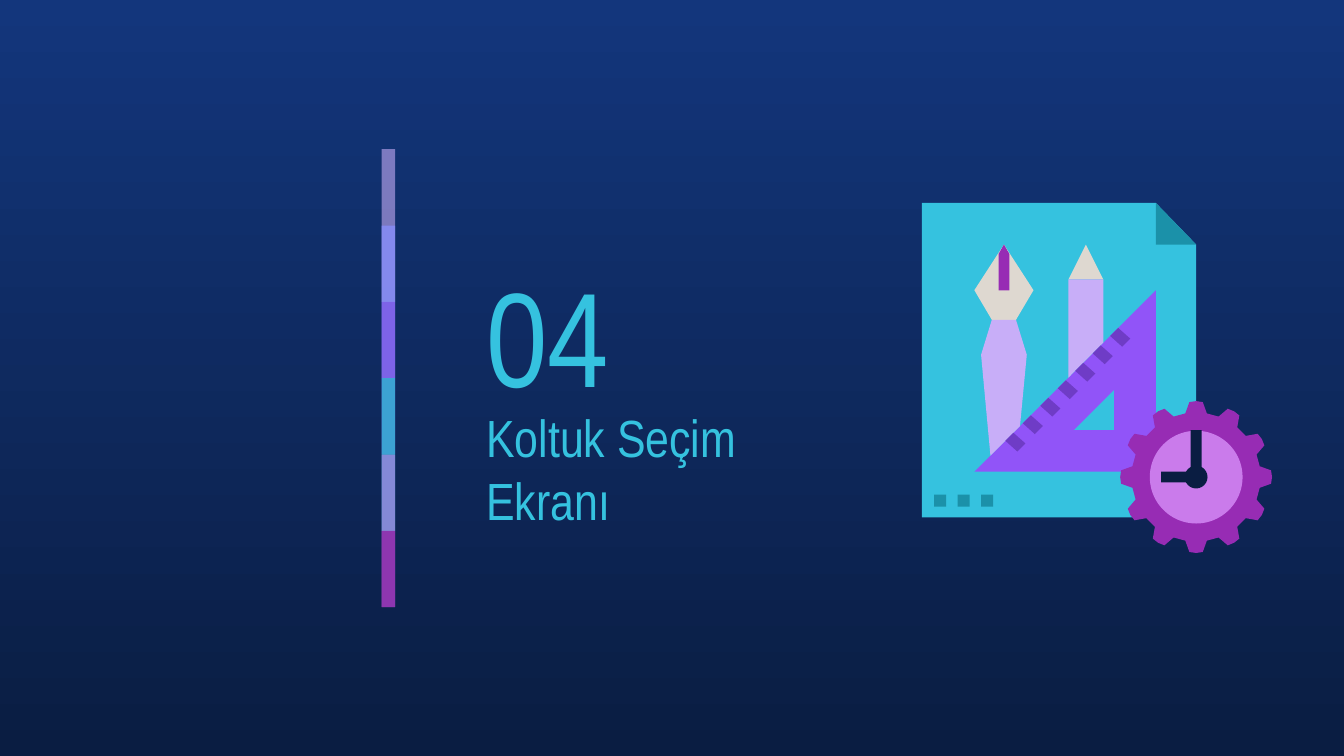
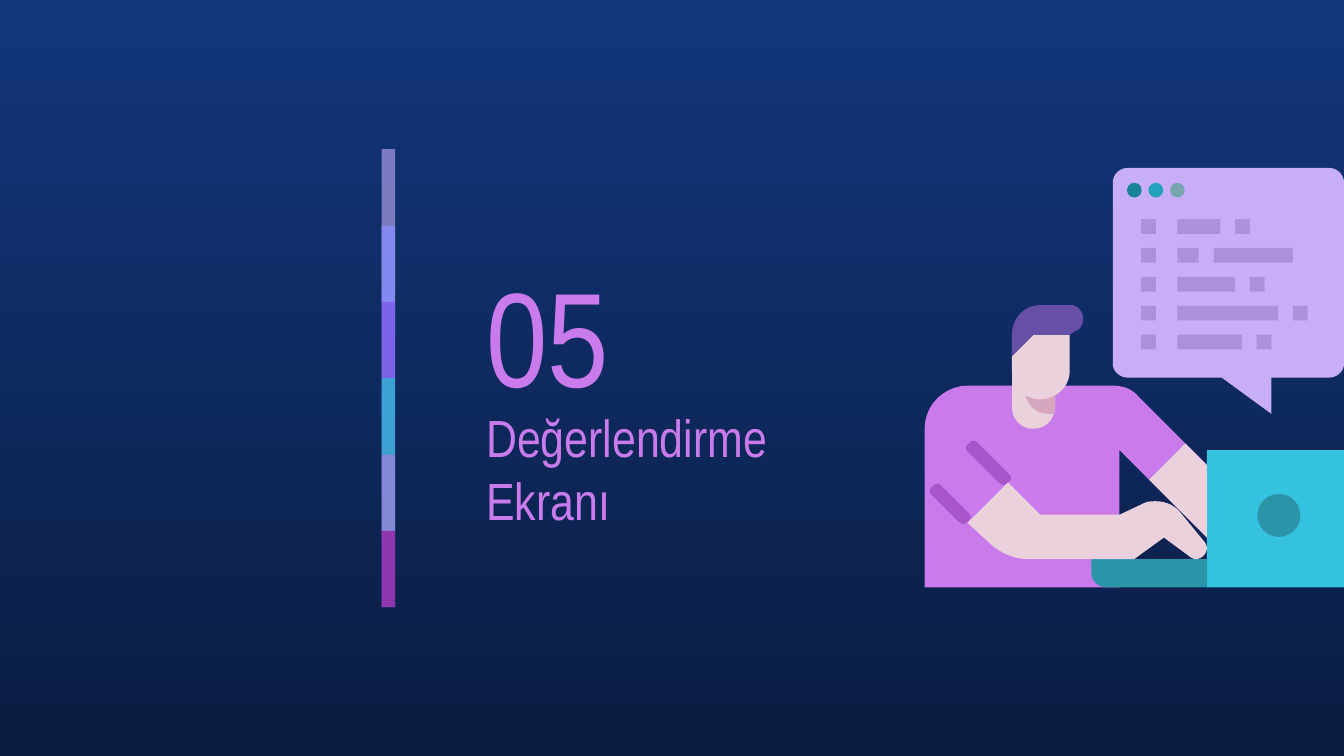
from dataclasses import dataclass
from math import cos, radians, sin

from lxml import etree
from pptx import Presentation
from pptx import util as u
from pptx.dml.color import RGBColor
from pptx.enum import shapes, text
from pptx.oxml.ns import qn

RECT = shapes.MSO_SHAPE.RECTANGLE
OVAL = shapes.MSO_SHAPE.OVAL


@dataclass(frozen=True)
class Theme:
    font: str = "Arial Narrow"
    number_size: int = 72
    title_size: int = 28
    sky: str = "13367C"
    night: str = "0A1D42"
    cyan: str = "35C2DF"
    teal: str = "1B91A9"
    laptop_base: str = "2B94A9"
    lilac: str = "C8AEF8"
    code: str = "AB90DE"
    periwinkle: str = "878FFF"
    violet: str = "9154F8"
    tick: str = "6F3CC6"
    orchid: str = "CA7BEB"
    fold: str = "A855CB"
    magenta: str = "972CB4"
    sand: str = "DED8D0"
    skin: str = "EAD1DC"
    neck_shade: str = "D5A6BD"
    hair: str = "674EA7"
    window_buttons: tuple = ("198298", "22A2BC", "76A5AF")


def length(inches):
    return u.Cm(inches * 2.54)


def flatten(outline, steps=10):
    """Turn (x, y) corners and (x1, y1, x2, y2, x, y) Bezier curves into points."""
    points = []
    for part in outline:
        if len(part) == 2:
            points.append(part)
            continue
        knots = [points[-1], part[:2], part[2:4], part[4:]]
        for step in range(1, steps + 1):
            t = step / steps
            weights = ((1 - t) ** 3, 3 * t * (1 - t) ** 2, 3 * t * t * (1 - t), t ** 3)
            points.append(tuple(sum(w * knot[axis] for w, knot in zip(weights, knots))
                                for axis in (0, 1)))
    return [(length(x), length(y)) for x, y in points]


class Painter:
    """Holds the theme and the current slide; all measures are in inches."""

    def __init__(self, deck, theme):
        self.deck, self.theme, self.page = deck, theme, None

    def new_page(self):
        self.page = self.deck.slides.add_slide(self.deck.slide_layouts[6])
        fill = self.page.background.fill
        fill.gradient()
        fill.gradient_angle = 270
        for stop, color in zip(fill.gradient_stops, (self.theme.sky, self.theme.night)):
            stop.color.rgb = RGBColor.from_string(color)

    def paint(self, shape, color, opacity=100):
        shape.shadow.inherit = False
        shape.line.fill.background()
        shape.fill.solid()
        shape.fill.fore_color.rgb = RGBColor.from_string(color)
        if opacity < 100:
            tint = shape.fill._xPr.find(".//" + qn("a:srgbClr"))
            etree.SubElement(tint, qn("a:alpha")).set("val", str(opacity * 1000))

    def box(self, left, top, width, height, color, opacity=100, kind=RECT):
        shape = self.page.shapes.add_shape(
            kind, length(left), length(top), length(width), length(height))
        self.paint(shape, color, opacity)

    def circle(self, x, y, radius, color):
        self.box(x - radius, y - radius, 2 * radius, 2 * radius, color, kind=OVAL)

    def outline(self, color, *contours):
        builder = None
        for contour in contours:
            start, *rest = flatten(contour)
            if builder is None:
                builder = self.page.shapes.build_freeform(*start, scale=1.0)
            else:
                builder.move_to(*start)
            builder.add_line_segments(rest, close=True)
        self.paint(builder.convert_to_shape(), color)

    def words(self, content, left, top, width, height, size, color):
        box = self.page.shapes.add_textbox(
            length(left), length(top), length(width), length(height))
        frame = box.text_frame
        frame.word_wrap = True
        frame.vertical_anchor = text.MSO_ANCHOR.MIDDLE
        frame.margin_left = frame.margin_right = length(0.1)
        frame.margin_top = frame.margin_bottom = length(0.1)
        span = frame.paragraphs[0].add_run()
        span.text = content
        span.font.name = self.theme.font
        span.font.size = u.Pt(size)
        span.font.color.rgb = RGBColor.from_string(color)

    def section(self, number, title, color):
        """Start a section slide: background, colour stripe, number and title."""
        theme = self.theme
        self.new_page()
        stripe = ((theme.lilac, 59), (theme.periwinkle, 74), (theme.violet, 53),
                  (theme.cyan, 76), (theme.orchid, 56), (theme.magenta, 74))
        pitch = 0.568
        for index, (tone, opacity) in enumerate(stripe):
            spans = min(2, len(stripe) - index)
            self.box(2.84, 1.11 + index * pitch, 0.1, spans * pitch, tone, opacity)
        self.words(number, 3.52, 1.81, 1.75, 1.35, theme.number_size, color)
        self.words(title, 3.52, 3.15, 2.87, 0.67, theme.title_size, color)


def gear_outline(x, y, teeth=12):
    corners = ((0.48, -9.6), (0.56, -5.1), (0.565, 0), (0.56, 5.1), (0.48, 9.6))
    return [(x + radius * sin(radians(tooth * 360 / teeth + turn)),
             y - radius * cos(radians(tooth * 360 / teeth + turn)))
            for tooth in range(teeth) for radius, turn in corners]


def draw_design_sheet(painter):
    theme = painter.theme
    painter.outline(theme.cyan, [(6.86, 1.51), (6.86, 3.85), (8.9, 3.85), (8.9, 1.82), (8.6, 1.51)])
    painter.outline(theme.teal, [(8.6, 1.51), (8.6, 1.82), (8.9, 1.82)])
    set_square = ([(8.29, 2.9), (8.29, 3.2), (7.99, 3.2)],
                  [(8.6, 2.16), (7.25, 3.51), (8.6, 3.51)])
    painter.outline(theme.violet, *set_square)
    gear_x, gear_y = 8.9, 3.55
    painter.outline(theme.magenta, gear_outline(gear_x, gear_y))

    # Pencil and pen
    painter.outline(theme.sand, [(8.08, 1.82), (7.95, 2.08), (8.21, 2.08)])
    painter.outline(theme.lilac, [(7.95, 2.08), (7.95, 2.81), (8.21, 2.55), (8.21, 2.08)])
    painter.outline(theme.sand, [(7.47, 1.82), (7.25, 2.16), (7.38, 2.38),
                                 (7.56, 2.38), (7.69, 2.16)])
    painter.outline(theme.lilac, [(7.38, 2.38), (7.3, 2.64), (7.37, 3.39),
                                  (7.59, 3.17), (7.64, 2.64), (7.56, 2.38)])

    # Clock on the gear
    painter.circle(gear_x, gear_y, 0.345, theme.orchid)
    painter.outline(theme.night, [(8.86, 3.2), (8.86, 3.51), (8.64, 3.51),
                                  (8.64, 3.59), (8.94, 3.59), (8.94, 3.2)])
    painter.circle(gear_x, gear_y, 0.085, theme.night)

    painter.outline(theme.magenta, [(7.47, 1.82), (7.43, 1.89), (7.43, 2.16),
                                    (7.51, 2.16), (7.51, 1.89)])
    for index in range(7):
        x, y = 7.48 + index * 0.13, 3.22 - index * 0.13
        painter.outline(theme.tick, [(x + 0.06, y), (x, y + 0.06),
                                     (x + 0.09, y + 0.14), (x + 0.15, y + 0.08)])
    for index in range(3):
        painter.box(6.95 + index * 0.175, 3.68, 0.09, 0.09, theme.teal)


def draw_body(painter):
    theme = painter.theme
    painter.outline(theme.orchid, [
        (7.2, 2.87), (7.03, 2.87, 6.88, 3.01, 6.88, 3.19), (6.88, 4.37), (8.33, 4.37),
        (8.33, 3.35), (8.98, 4), (8.98, 3.46), (8.47, 2.95),
        (8.42, 2.89, 8.35, 2.87, 8.28, 2.87)])
    for x, y, reach in ((6.97, 3.6, 0.19), (7.24, 3.28, 0.22)):
        painter.outline(theme.fold, [
            (x, y), (x - 0.01, y, x - 0.02, y + 0.01, x - 0.03, y + 0.02),
            (x - 0.06, y + 0.04, x - 0.06, y + 0.07, x - 0.03, y + 0.09),
            (x - 0.03 + reach, y + 0.09 + reach),
            (x - 0.02 + reach, y + 0.1 + reach, x + reach, y + 0.11 + reach,
             x + 0.01 + reach, y + 0.11 + reach),
            (x + 0.02 + reach, y + 0.11 + reach, x + 0.03 + reach, y + 0.1 + reach,
             x + 0.04 + reach, y + 0.09 + reach),
            (x + 0.07 + reach, y + 0.07 + reach, x + 0.07 + reach, y + 0.04 + reach,
             x + 0.04 + reach, y + 0.02 + reach),
            (x + 0.04, y + 0.02), (x + 0.03, y + 0.01, x + 0.02, y, x, y)])


def draw_laptop_and_arms(painter):
    theme = painter.theme
    painter.box(8.98, 3.35, 1.02, 1.02, theme.cyan)
    painter.outline(theme.laptop_base, [(8.12, 4.16), (8.12, 4.26),
                                        (8.12, 4.32, 8.17, 4.37, 8.23, 4.37),
                                        (8.98, 4.37), (8.98, 4.16)])
    painter.outline(theme.skin, [(7.53, 2.71), (7.53, 3.03),
                                 (7.53, 3.11, 7.58, 3.17, 7.66, 3.19),
                                 (7.67, 3.19, 7.68, 3.19, 7.69, 3.19),
                                 (7.76, 3.19, 7.82, 3.15, 7.84, 3.08),
                                 (7.85, 3.06, 7.85, 3.05, 7.85, 3.03), (7.85, 2.71)])
    painter.outline(theme.neck_shade, [(7.63, 2.71), (7.63, 2.92),
                                       (7.63, 3.01, 7.71, 3.08, 7.8, 3.08), (7.84, 3.08),
                                       (7.85, 3.06, 7.85, 3.05, 7.85, 3.03), (7.85, 2.71)])
    painter.outline(theme.skin, [
        (7.5, 3.59), (7.2, 3.89), (7.35, 4.03), (7.43, 4.11, 7.54, 4.16, 7.65, 4.16),
        (8.44, 4.16), (8.66, 4), (8.85, 4.14), (8.86, 4.15, 8.88, 4.16, 8.9, 4.16),
        (8.94, 4.16, 8.98, 4.12, 8.98, 4.08), (8.98, 4.06, 8.97, 4.04, 8.96, 4.03),
        (8.78, 3.81), (8.74, 3.76, 8.67, 3.73, 8.6, 3.73),
        (8.57, 3.73, 8.53, 3.73, 8.5, 3.75), (8.33, 3.83), (7.74, 3.83)])
    painter.outline(theme.skin, [(8.82, 3.3), (8.55, 3.57), (8.98, 4), (8.98, 3.46)])
    painter.circle(9.515, 3.835, 0.16, theme.laptop_base)


def draw_code_bubble(painter):
    theme = painter.theme
    painter.outline(theme.lilac, [
        (8.39, 1.25), (8.33, 1.25, 8.28, 1.3, 8.28, 1.36), (8.28, 2.71),
        (8.28, 2.76, 8.33, 2.81, 8.39, 2.81), (9.09, 2.81), (9.46, 3.08), (9.46, 2.81),
        (9.89, 2.81), (9.95, 2.81, 10, 2.76, 10, 2.71), (10, 1.36),
        (10, 1.3, 9.95, 1.25, 9.89, 1.25)])
    gap, side = 0.11, 0.11
    for row, (first, second) in enumerate(
            ((0.32, side), (0.16, 0.59), (0.43, side), (0.75, side), (0.48, side))):
        top = 1.63 + row * 0.215
        painter.box(8.49, top, side, side, theme.code)
        painter.box(8.76, top, first, side, theme.code)
        painter.box(8.76 + first + gap, top, second, side, theme.code)


def draw_head(painter):
    theme = painter.theme
    painter.outline(theme.skin, [
        (7.69, 2.49), (7.53, 2.65), (7.53, 2.76), (7.53, 2.88, 7.62, 2.97, 7.74, 2.97),
        (7.86, 2.97, 7.96, 2.88, 7.96, 2.76), (7.96, 2.49)])
    painter.outline(theme.hair, [
        (7.74, 2.27), (7.62, 2.27, 7.53, 2.37, 7.53, 2.49), (7.53, 2.65), (7.69, 2.49),
        (7.96, 2.49), (8.01, 2.46), (8.04, 2.45, 8.06, 2.41, 8.06, 2.37),
        (8.06, 2.32, 8.02, 2.27, 7.97, 2.27)])


def draw_programmer(painter):
    draw_body(painter)
    draw_laptop_and_arms(painter)
    draw_code_bubble(painter)
    draw_head(painter)
    for index, color in enumerate(painter.theme.window_buttons):
        painter.circle(8.44 + index * 0.16, 1.415, 0.055, color)


def main():
    deck = Presentation()
    deck.slide_width, deck.slide_height = length(10), length(5.625)
    theme = Theme()
    painter = Painter(deck, theme)
    painter.section("04", "Koltuk Seçim Ekranı", theme.cyan)
    draw_design_sheet(painter)
    painter.section("05", "Değerlendirme Ekranı", theme.orchid)
    draw_programmer(painter)
    deck.save("out.pptx")


if __name__ == "__main__":
    main()
